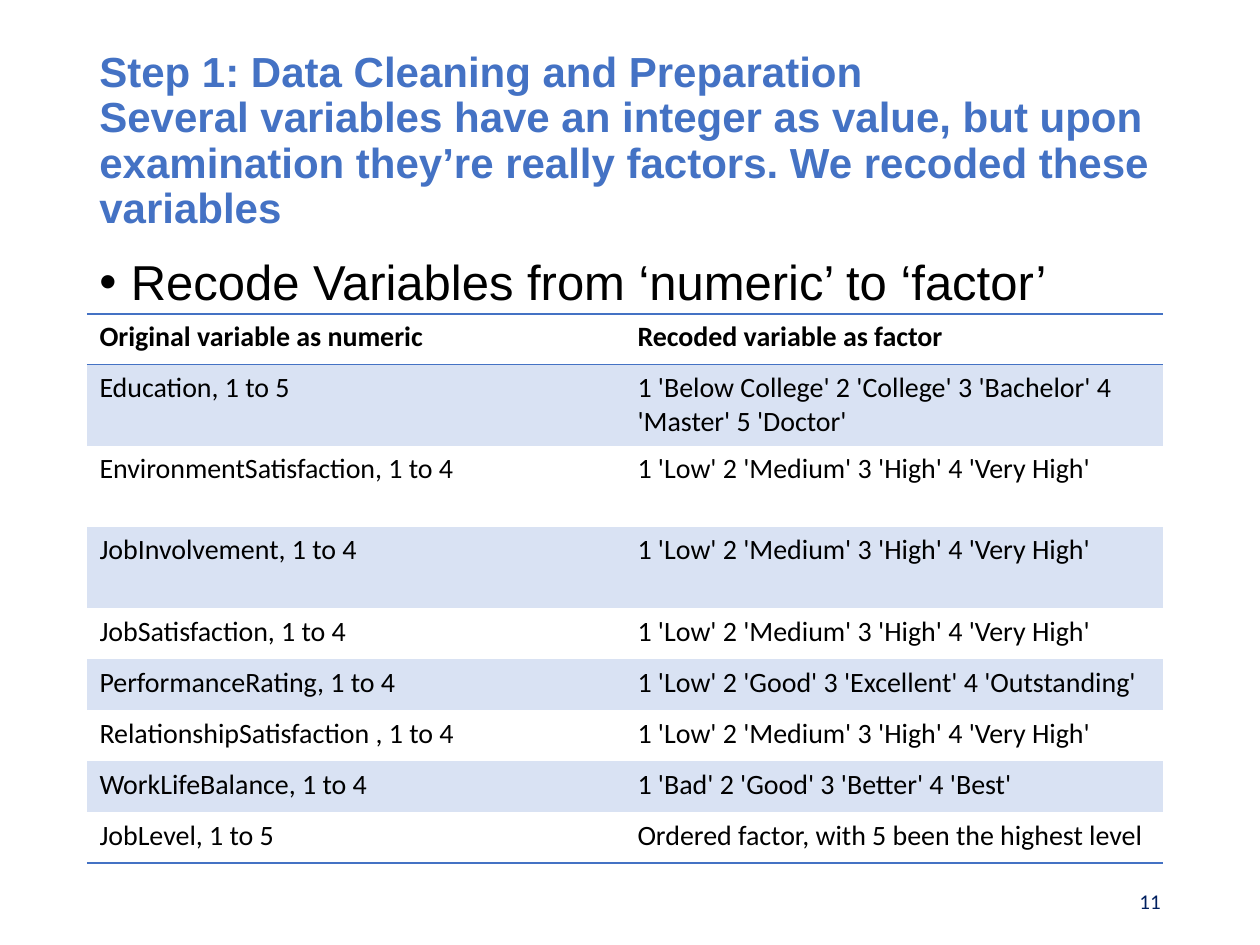
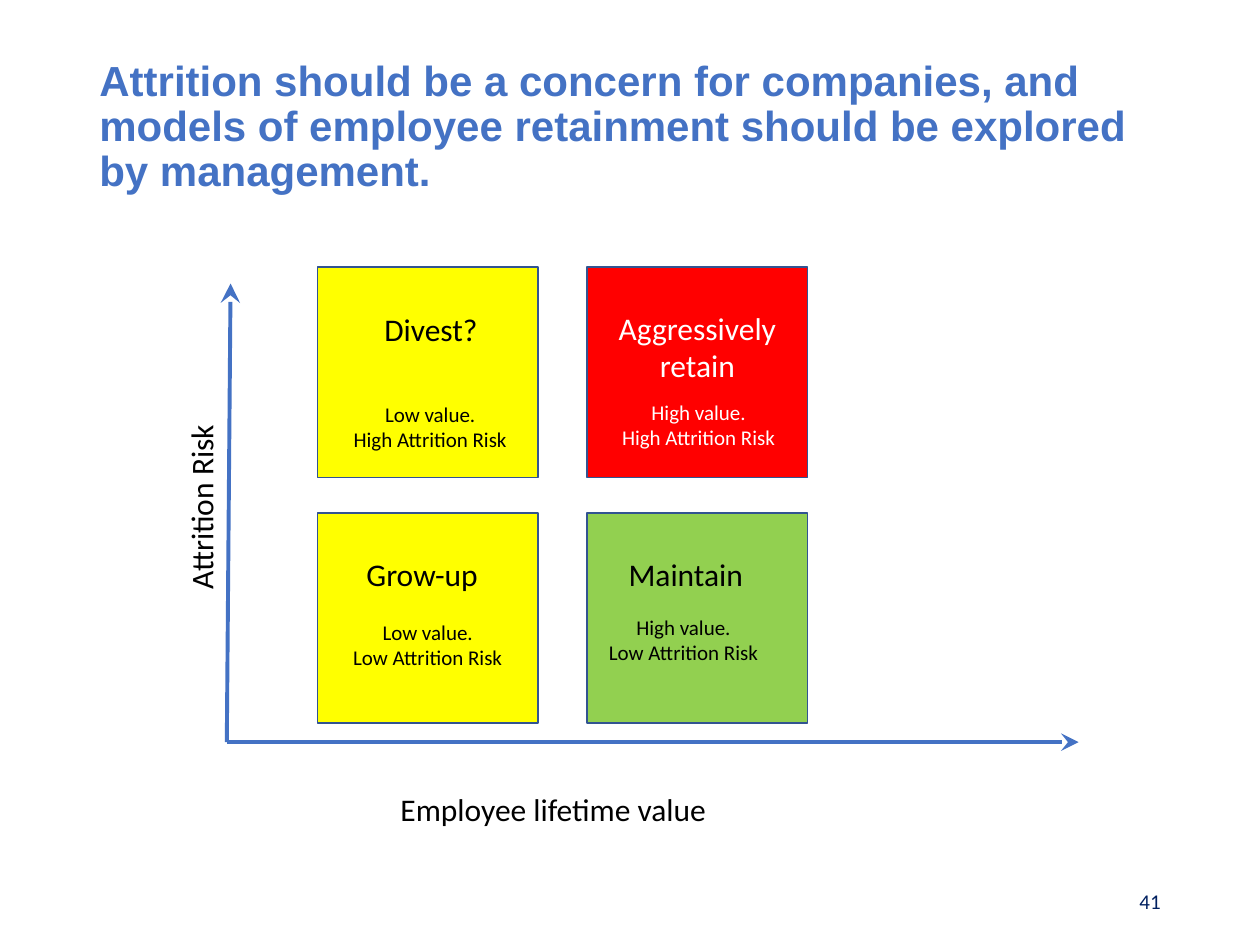
from lxml import etree
from pptx import Presentation
from pptx import util as u
from pptx.dml.color import RGBColor
from pptx.enum import shapes, text
from pptx.oxml import ns

BLUE = RGBColor(0x44, 0x72, 0xC4)
BAND = RGBColor(0xD9, 0xE2, 0xF3)
EDGE = RGBColor(0x32, 0x54, 0x91)
NAVY = RGBColor(0x00, 0x20, 0x60)
BLACK = RGBColor(0x00, 0x00, 0x00)
WHITE = RGBColor(0xFF, 0xFF, 0xFF)
YELLOW = RGBColor(0xFF, 0xFF, 0x00)
RED = RGBColor(0xFF, 0x00, 0x00)
GREEN = RGBColor(0x92, 0xD0, 0x50)

COLS, ROWS = 100, 75
LEFT, WIDTH = 6.9, 86.2
NO_GRID_STYLE = "{2D5ABB26-0587-4C30-8999-92F81FD0307C}"
CENTER, RIGHT = text.PP_ALIGN.CENTER, text.PP_ALIGN.RIGHT
TOP, MIDDLE = text.MSO_ANCHOR.TOP, text.MSO_ANCHOR.MIDDLE

TITLE = dict(name="Arial", size=u.Pt(24), bold=True, color=BLUE)
BULLET = dict(name="Arial", size=u.Pt(28), color=BLACK)
LABEL = dict(name="Calibri", size=u.Pt(18), color=BLACK)
NOTE = dict(LABEL, size=u.Pt(12))
CELL = dict(LABEL, size=u.Pt(16), bold=False)
HEAD = dict(CELL, bold=True)
PAGE = dict(NOTE, color=NAVY)

LEVELS = "1 'Low' 2 'Medium' 3 'High' 4 'Very High'"
RECODED = [
    ("Original variable as numeric", "Recoded variable as factor"),
    ("Education, 1 to 5", "1 'Below College' 2 'College' 3 'Bachelor' 4 'Master' 5 'Doctor'"),
    ("EnvironmentSatisfaction, 1 to 4", LEVELS),
    ("JobInvolvement, 1 to 4", LEVELS),
    ("JobSatisfaction, 1 to 4", LEVELS),
    ("PerformanceRating, 1 to 4", "1 'Low' 2 'Good' 3 'Excellent' 4 'Outstanding'"),
    ("RelationshipSatisfaction , 1 to 4", LEVELS),
    ("WorkLifeBalance, 1 to 4", "1 'Bad' 2 'Good' 3 'Better' 4 'Best'"),
    ("JobLevel, 1 to 5", "Ordered factor, with 5 been the highest level"),
]
TALL_ROWS = (1, 2, 3)

# column, row, fill, ink, heading, its place and alignment, note, its place
QUADRANTS = [
    (0, 0, YELLOW, BLACK, "Divest?", (28.1, 24.1, 12.2, 4.1), CENTER,
     "Low value.\nHigh Attrition Risk", (26.5, 31.4)),
    (1, 0, RED, WHITE, "Aggressively retain", (46.6, 24, 17.5, 7.1), CENTER,
     "High value.\nHigh Attrition Risk", (47.8, 31.2)),
    (0, 1, YELLOW, BLACK, "Grow-up", (28.1, 43.6, 12.2, 4), None,
     "Low value.\nLow Attrition Risk", (26.3, 48.7)),
    (1, 1, GREEN, BLACK, "Maintain", (48.9, 43.6, 13, 4), None,
     "High value.\nLow Attrition Risk", (46.6, 48.3)),
]


def assign(target, formats):
    for key, value in formats.items():
        if key == "color":
            target.color.rgb = value
        else:
            setattr(target, key, value)


class Deck:
    """Holds the presentation, its grid and the current slide."""

    def __init__(self):
        self.prs = Presentation()
        self.prs.slide_width, self.prs.slide_height = u.Inches(10), u.Inches(7.5)
        self.s = None

    def x(self, cols):
        return round(self.prs.slide_width * cols / COLS)

    def y(self, rows):
        return round(self.prs.slide_height * rows / ROWS)

    def place(self, left, top, width, height):
        return self.x(left), self.y(top), self.x(width), self.y(height)

    def slide(self, title, title_row, page):
        self.s = self.prs.slides.add_slide(self.prs.slide_layouts[6])
        p = self.text(title, (LEFT, title_row, WIDTH, 14.5), TITLE, anchor=MIDDLE)
        assign(p, dict(line_spacing=0.9, space_after=u.Pt(24)))
        self.text(str(page), (70.6, 69.5, 22.5, 4), PAGE, RIGHT, MIDDLE)

    def text(self, words, at, font, align=None, anchor=TOP, turn=0):
        """Add a text box, one paragraph a line, and return the first paragraph."""
        sp = self.s.shapes.add_textbox(*self.place(*at))
        sp.rotation = turn
        tf = sp.text_frame
        assign(tf, dict(text=words, word_wrap=True, vertical_anchor=anchor))
        for p in tf.paragraphs:
            p.alignment = align
            for r in p.runs:
                assign(r.font, font)
        return tf.paragraphs[0]

    def bullet(self, words, at):
        p = self.text(words, at, BULLET)
        p.line_spacing = 0.9
        pPr = p._p.get_or_add_pPr()
        indent = u.Inches(0.25)
        pPr.set("marL", str(indent))
        pPr.set("indent", str(-indent))
        etree.SubElement(pPr, ns.qn("a:buFont"), typeface="Arial")
        etree.SubElement(pPr, ns.qn("a:buChar"), char="•")

    def box(self, at, fill):
        sp = self.s.shapes.add_shape(shapes.MSO_SHAPE.RECTANGLE, *self.place(*at))
        sp.shadow.inherit = False
        sp.fill.solid()
        sp.fill.fore_color.rgb = fill
        assign(sp.line, dict(color=EDGE, width=u.Pt(1)))

    def arrow(self, start, end, weight):
        sp = self.s.shapes.add_connector(
            shapes.MSO_CONNECTOR.STRAIGHT,
            self.x(start[0]), self.y(start[1]), self.x(end[0]), self.y(end[1]))
        assign(sp.line, dict(color=BLUE, width=u.Pt(weight)))
        etree.SubElement(sp.line._get_or_add_ln(), ns.qn("a:tailEnd"),
                         type="stealth", w="lg", len="lg")
        etree.SubElement(sp._element.spPr, ns.qn("a:effectLst"))

    def rule(self, cell, side):
        """Draw one cell border: lnT or lnB."""
        tcPr = cell._tc.get_or_add_tcPr()
        ln = etree.SubElement(tcPr, ns.qn("a:" + side), w=str(u.Pt(1)))
        fill = etree.SubElement(ln, ns.qn("a:solidFill"))
        etree.SubElement(fill, ns.qn("a:srgbClr"), val=str(BLUE))

    def table(self, rows, at):
        frame = self.s.shapes.add_table(len(rows), len(rows[0]), *self.place(*at))
        table = frame.table
        table._tbl.tblPr.find(ns.qn("a:tableStyleId")).text = NO_GRID_STYLE
        last = len(rows) - 1
        for i, row in enumerate(rows):
            table.rows[i].height = self.y(6.44 if i in TALL_ROWS else 4.05)
            for j, words in enumerate(row):
                cell = table.cell(i, j)
                cell.text = words
                assign(cell.text_frame.paragraphs[0].runs[0].font, CELL if i else HEAD)
                if i == 0:
                    self.rule(cell, "lnT")
                if i in (0, last):
                    self.rule(cell, "lnB")
                if i % 2:
                    cell.fill.solid()
                    cell.fill.fore_color.rgb = BAND
                else:
                    cell.fill.background()


def recoding_slide(deck):
    deck.slide("Step 1: Data Cleaning and Preparation\vSeveral variables have an "
               "integer as value, but upon examination they’re really factors. "
               "We recoded these variables", 4, 11)
    deck.bullet("Recode Variables from ‘numeric’ to ‘factor’", (LEFT, 20, 88.3, 47.6))
    deck.table(RECODED, (LEFT, 24.9, 85.4, 43.3))


def retention_slide(deck):
    deck.slide("Attrition should be a concern for companies, and models of employee "
               "retainment should be explored by management.", 2.9, 41)
    origin = (18, 58.9)
    deck.arrow(origin, (18.3, 22.5), 2.25)
    deck.arrow(origin, (85.6, 58.9), 2)
    deck.text("Employee lifetime value", (30.8, 62.2, 31.1, 4), LABEL)
    deck.text("Attrition Risk", (6.2, 36, 19.5, 4), LABEL, turn=270)
    for col, row, fill, ink, heading, heading_at, align, note, note_at in QUADRANTS:
        deck.box((25.2 + 21.4 * col, 21.2 + 19.5 * row, 17.5, 16.7), fill)
        deck.text(heading, heading_at, dict(LABEL, color=ink), align)
        deck.text(note, (*note_at, 15.3, 5), dict(NOTE, color=ink), CENTER)


def main():
    deck = Deck()
    recoding_slide(deck)
    retention_slide(deck)
    deck.prs.save("out.pptx")


if __name__ == "__main__":
    main()
